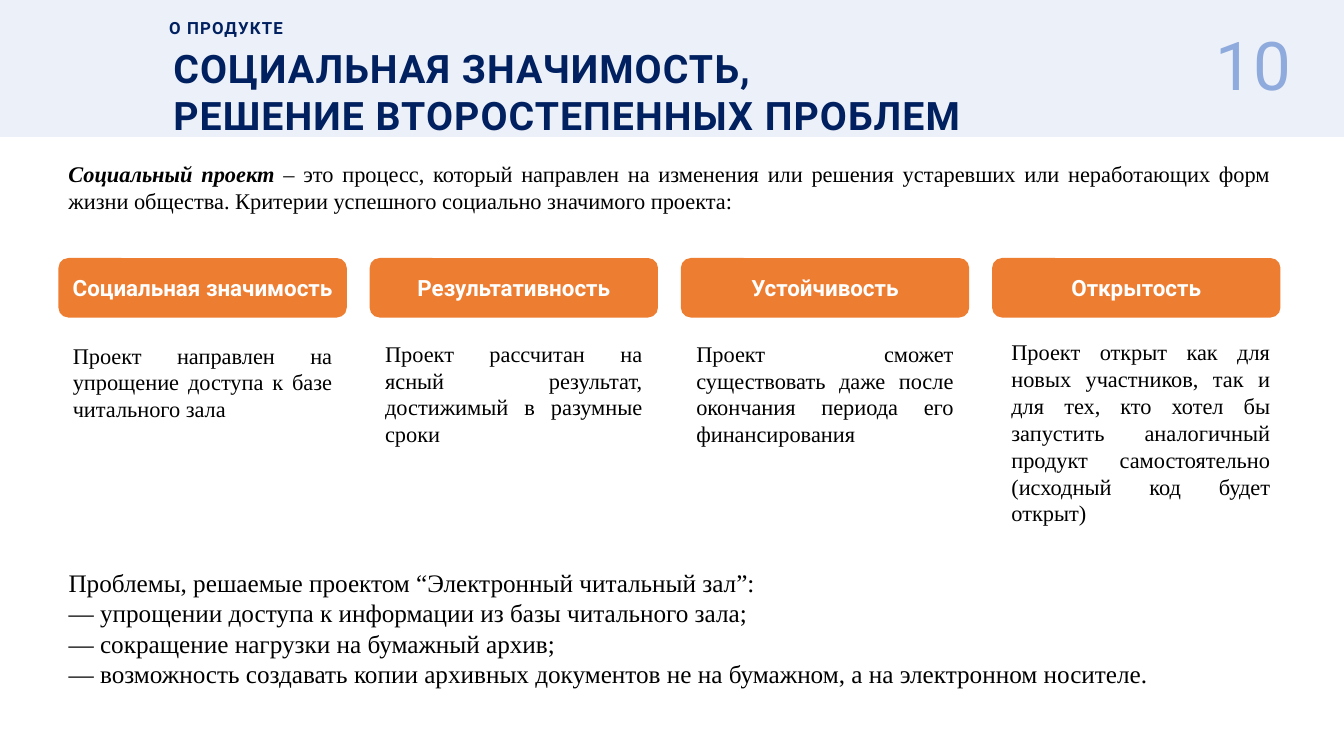
from dataclasses import dataclass

from pptx import Presentation
from pptx import util as u
from pptx.dml.color import RGBColor
from pptx.enum import shapes, text
from pptx.oxml import parse_xml
from pptx.oxml.ns import nsdecls, qn


@dataclass(frozen=True)
class Theme:
    head: str = "Roboto"
    body: str = "Times New Roman"
    navy: str = "002060"
    band: str = "DAE3F3"
    pale: str = "8FAADC"
    accent: str = "ED7D31"
    white: str = "FFFFFF"
    black: str = "000000"
    number: int = 48
    title: int = 28
    list: int = 18
    text: int = 16
    small: int = 12


T = Theme()
LEFT, CENTER, JUSTIFY = (text.PP_ALIGN.LEFT, text.PP_ALIGN.CENTER,
                         text.PP_ALIGN.JUSTIFY)
TOP, MIDDLE = text.MSO_ANCHOR.TOP, text.MSO_ANCHOR.MIDDLE

CRITERIA = [
    ("Социальная значимость", 0.9, 2.86,
     "Проект направлен на упрощение доступа к базе читального зала"),
    ("Результативность", 1.13, 2.86,
     "Проект рассчитан на ясный результат, достижимый в разумные сроки"),
    ("Устойчивость", 1.13, 2.86,
     "Проект сможет существовать даже после окончания периода его финансирования"),
    ("Открытость", 1.9, 2.95,
     "Проект открыт как для новых участников, так и для тех, кто хотел бы запустить "
     "аналогичный продукт самостоятельно (исходный код будет открыт)"),
]
PROBLEMS = [
    "Проблемы, решаемые проектом “Электронный читальный зал”:",
    "— упрощении доступа к информации из базы читального зала;",
    "— сокращение нагрузки на бумажный архив;",
    "— возможность создавать копии архивных документов не на бумажном, "
    "а на электронном носителе.",
]


def write(sp, paragraphs, size=T.text, font=T.body, color=T.black, bold=False,
          align=LEFT, anchor=TOP, spacing=None, tracking=None):
    """Fill a shape; each paragraph is a string or a list of (text, emphasised)."""
    tf = sp.text_frame
    tf.word_wrap = True
    tf.auto_size = text.MSO_AUTO_SIZE.NONE
    tf.vertical_anchor = anchor
    for i, content in enumerate(paragraphs):
        p = tf.paragraphs[0] if i == 0 else tf.add_paragraph()
        p.alignment = align
        p.space_before = u.Pt(0)
        if spacing:
            p.line_spacing = spacing
        runs = [(content, False)] if isinstance(content, str) else content
        for words, emphasised in runs:
            r = p.add_run()
            r.text = words
            r.font.size, r.font.name = u.Pt(size), font
            r.font.bold, r.font.italic = bold or emphasised, emphasised
            r.font.color.rgb = RGBColor.from_string(color)
            if tracking:
                r.font._element.set("spc", str(round(tracking * 100)))


def place(sp, x, y, w, h):
    sp.left, sp.top, sp.width, sp.height = map(u.Inches, (x, y, w, h))
    return sp


def text_box(s, x, y, w, h, paragraphs, **fmt):
    sp = s.shapes.add_textbox(*map(u.Inches, (x, y, w, h)))
    write(sp, paragraphs, **fmt)


def block(s, kind, x, y, w, h, fill):
    sp = s.shapes.add_shape(kind, *map(u.Inches, (x, y, w, h)))
    sp.shadow.inherit = False
    sp.fill.solid()
    sp.fill.fore_color.rgb = RGBColor.from_string(fill)
    sp.line.fill.background()
    return sp


def header(s, x, y, w, h):
    # Half-transparent band behind the title
    band = block(s, shapes.MSO_SHAPE.RECTANGLE, x, y, w, h, T.band)
    color = band._element.spPr.find(qn("a:solidFill"))[0]
    color.append(parse_xml(f'<a:alpha {nsdecls("a")} val="50000"/>'))
    s.shapes._spTree.insert(2, band._element)

    # Title, section label and slide number
    label = dict(font=T.head, color=T.navy, bold=True, anchor=MIDDLE, tracking=0.8)
    title = place(s.shapes.title, x + 1.62, y + 0.39, 8.86, 1.04)
    write(title, ["СОЦИАЛЬНАЯ ЗНАЧИМОСТЬ,", "РЕШЕНИЕ ВТОРОСТЕПЕННЫХ ПРОБЛЕМ"],
          size=T.title, **label)
    text_box(s, x + 1.58, y + 0.13, 1.62, 0.3, ["О ПРОДУКТЕ"], size=T.small, **label)
    text_box(s, x + w - 1.56, y + 0.37, 1.32, 0.71, ["10"], size=T.number,
             font=T.head, color=T.pale, align=CENTER, spacing=0.75)


def intro(s, x, y, w, h):
    text_box(s, x, y, w, h, [[
        ("Социальный проект ", True),
        ("– это процесс, который направлен на изменения или решения устаревших или "
         "неработающих форм жизни общества. Критерии успешного социально значимого "
         "проекта:", False)]], align=JUSTIFY)


def criteria(s, x, y, w, label_w=2.86, label_h=0.59, drop=0.78):
    pitch = (w - label_w) / (len(CRITERIA) - 1)
    rounded = shapes.MSO_SHAPE.ROUNDED_RECTANGLE
    for i, (name, card_h, card_w, words) in enumerate(CRITERIA):
        left = x + i * pitch
        label = block(s, rounded, left, y, label_w, label_h, T.accent)
        write(label, [name], font=T.head, color=T.white, bold=True,
              align=CENTER, anchor=MIDDLE)
        card = block(s, rounded, left, y + drop, card_w, card_h, T.white)
        write(card, [words], align=JUSTIFY, anchor=MIDDLE)


def problems(s, x, y, w, h):
    body = place(s.placeholders[1], x, y, w, h)
    for p in PROBLEMS[1:]:
        body.text_frame.add_paragraph()
    for p in body.text_frame.paragraphs[1:]:
        p._p.getparent().remove(p._p)
    write(body, PROBLEMS, size=T.list)
    for p in body.text_frame.paragraphs:
        pPr = p._p.get_or_add_pPr()
        pPr.set("marL", "0")
        pPr.set("indent", "0")
        pPr.append(parse_xml(f'<a:buNone {nsdecls("a")}/>'))


def main():
    prs = Presentation()
    prs.slide_width, prs.slide_height = u.Inches(13.33), u.Inches(7.5)
    s = prs.slides.add_slide(prs.slide_layouts[1])
    header(s, 0, 0, 13.33, 1.36)
    intro(s, 0.58, 1.54, 12.12, 1.25)
    criteria(s, 0.58, 2.56, 12.12)
    problems(s, 0.58, 5.58, 12.12, 1.92)
    prs.save("out.pptx")


if __name__ == "__main__":
    main()
